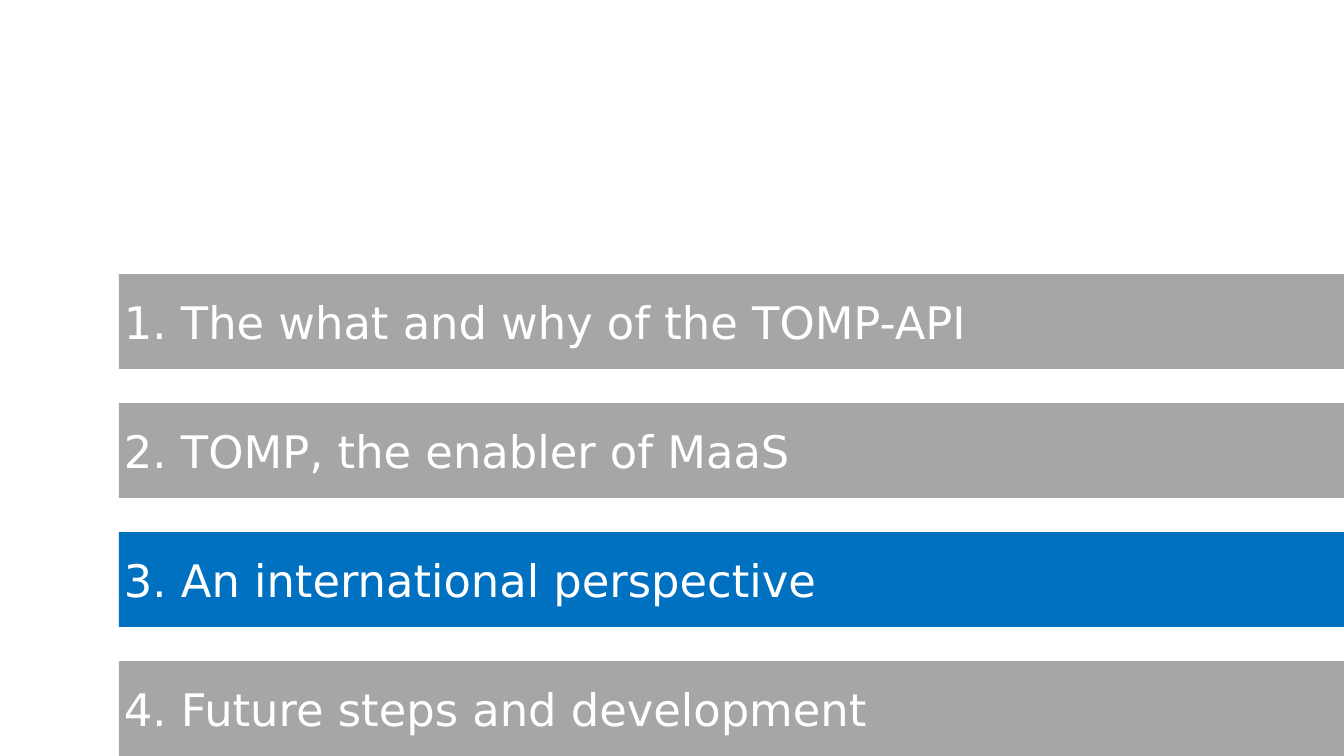
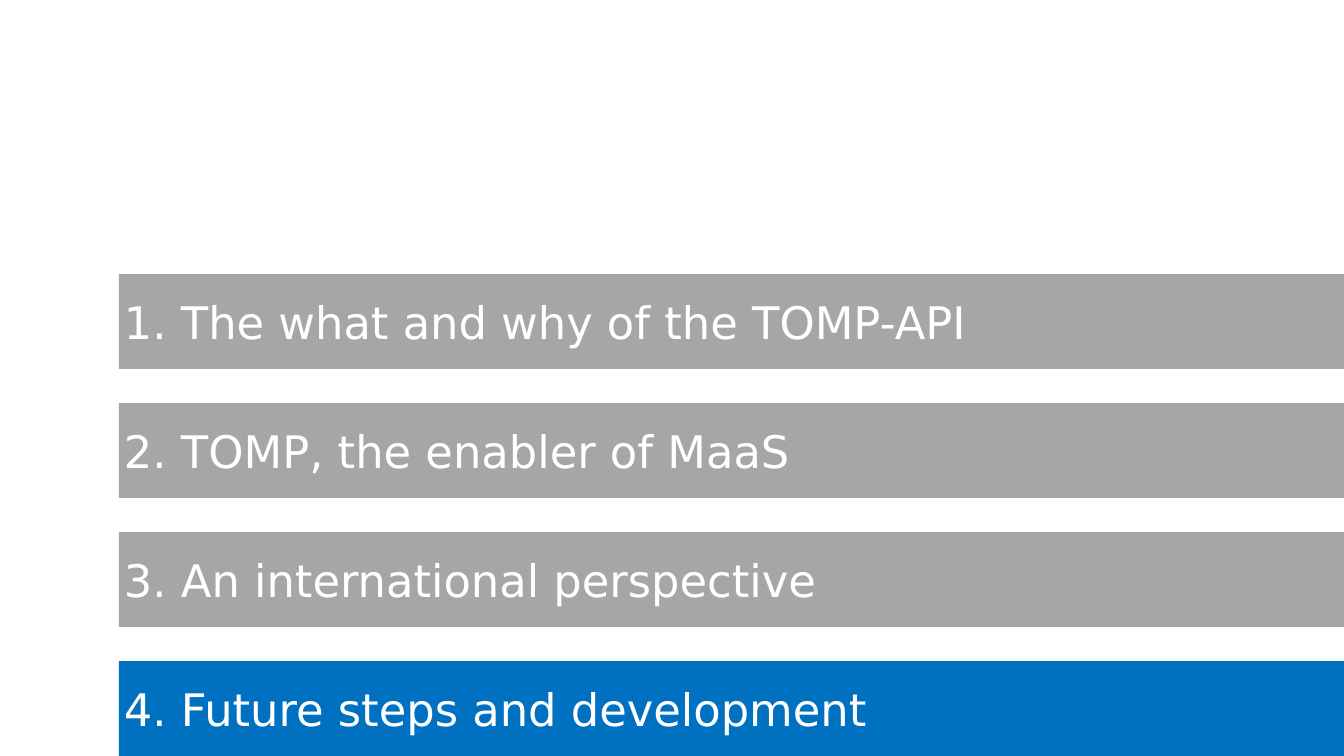
from pptx import Presentation
from pptx import util as u
from pptx.dml.color import RGBColor
from pptx.enum import shapes, text

# Content
TOPICS = [
    "1. The what and why of the TOMP-API",
    "2. TOMP, the enabler of MaaS",
    "3. An international perspective",
    "4. Future steps and development",
]
ACTIVE = [2, 3]  # highlighted topic on each slide

# Shared style
COLORS = {"idle": "A6A6A6", "active": "0070C0", "text": "FFFFFF"}
FONT, SIZE = "DejaVu Sans", 32
WIDE, HIGH = 13.33, 7.5
LEFT, BAR, STEP, INSET = 1.18, 0.94, 1.28, 0.05


def color(name):
    return RGBColor.from_string(COLORS[name])


def add_bar(slide, row, topic, state):
    # Rows stack upward from the bottom edge; bars bleed off the right
    top = HIGH - BAR - (len(TOPICS) - 1 - row) * STEP
    bar = slide.shapes.add_shape(
        shapes.MSO_SHAPE.RECTANGLE,
        u.Inches(LEFT), u.Inches(top), u.Inches(WIDE), u.Inches(BAR))
    bar.shadow.inherit = False
    bar.fill.solid()
    bar.fill.fore_color.rgb = color(state)
    bar.line.fill.background()

    # Label
    frame = bar.text_frame
    frame.word_wrap = True
    frame.vertical_anchor = text.MSO_ANCHOR.MIDDLE
    frame.margin_left = frame.margin_right = u.Inches(INSET)
    frame.margin_top = frame.margin_bottom = u.Inches(INSET)
    label = frame.paragraphs[0]
    label.text = topic
    label.alignment = text.PP_ALIGN.LEFT
    label.font.name = FONT
    label.font.size = u.Pt(SIZE)
    label.font.color.rgb = color("text")


def main():
    deck = Presentation()
    deck.slide_width, deck.slide_height = u.Inches(WIDE), u.Inches(HIGH)
    for active in ACTIVE:
        slide = deck.slides.add_slide(deck.slide_layouts[6])
        for row, topic in enumerate(TOPICS):
            add_bar(slide, row, topic, "active" if row == active else "idle")
    deck.save("out.pptx")


if __name__ == "__main__":
    main()
